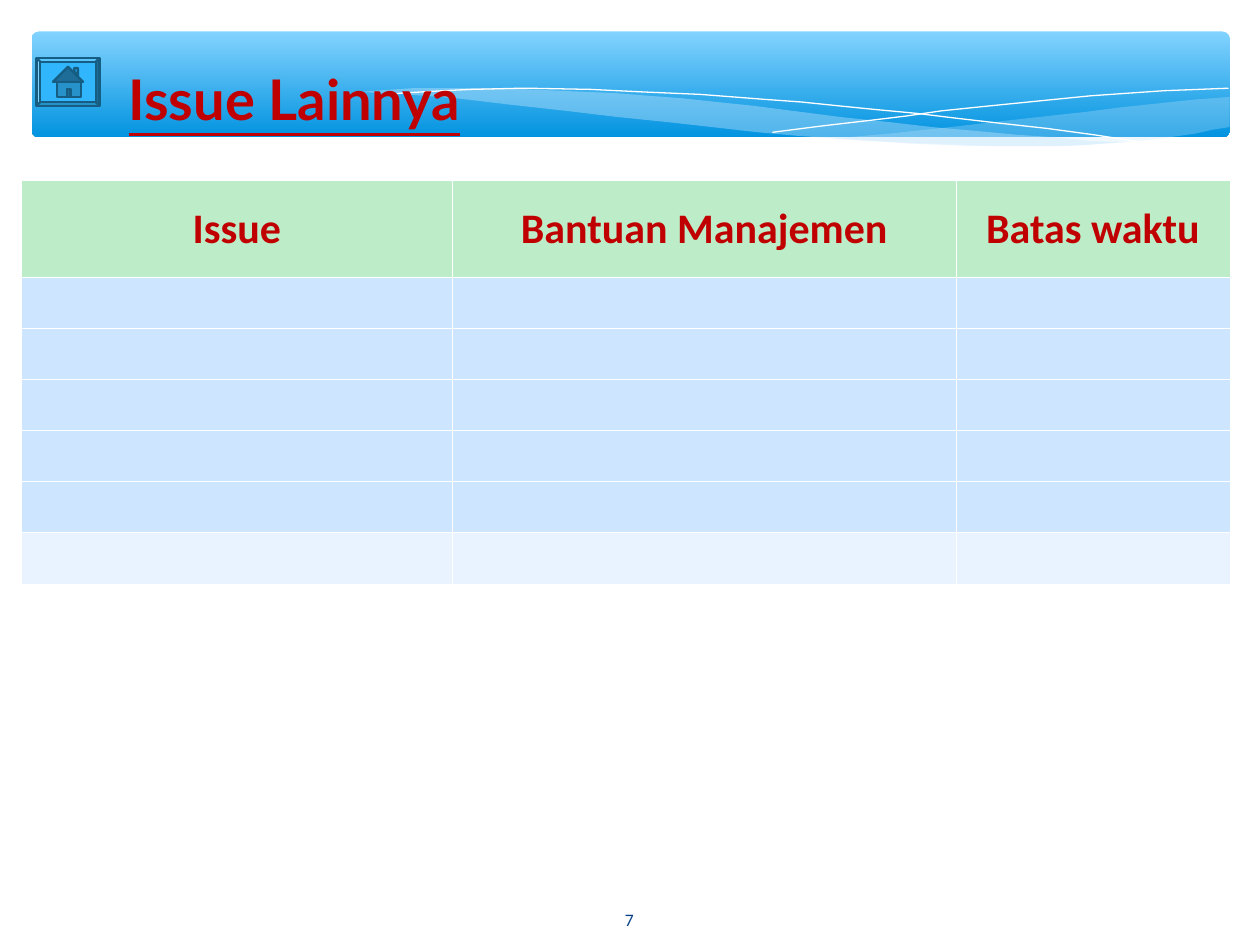
"""Build the "Issue Lainnya" slide: wave banner, home button and issue table."""
from lxml.etree import SubElement
from pptx import Presentation
from pptx.dml.color import RGBColor
from pptx.enum.shapes import MSO_SHAPE
from pptx.enum.text import MSO_ANCHOR, MSO_AUTO_SIZE, PP_ALIGN
from pptx.oxml import parse_xml
from pptx.oxml.ns import nsdecls, qn
from pptx.util import Inches, Pt

WHITE = RGBColor(0xFF, 0xFF, 0xFF)
RED = RGBColor(0xC0, 0x00, 0x00)
NAVY = RGBColor(0x07, 0x3E, 0x87)
SKY_TOP = RGBColor(0x83, 0xD3, 0xFE)
SKY_BOTTOM = RGBColor(0x02, 0x93, 0xE0)
WAVE = RGBColor(0xC6, 0xE7, 0xFC)
BUTTON = RGBColor(0x31, 0xB6, 0xFD)
BUTTON_EDGE = RGBColor(0x16, 0x5D, 0x83)
WALL = RGBColor(0x27, 0x92, 0xCA)
ROOF = RGBColor(0x1D, 0x6D, 0x98)
HEADER = RGBColor(0xBD, 0xEC, 0xC9)
BODY = RGBColor(0xCD, 0xE5, 0xFE)
LAST_ROW = RGBColor(0xE8, 0xF3, 0xFF)

prs = Presentation()
prs.slide_width, prs.slide_height = Inches(10), Inches(7.5)
slide = prs.slides.add_slide(prs.slide_layouts[5])
shapes = slide.shapes


def draw_outline(points, fill=None, opacity=100, edge=None, weight=0.75):
    """Draw a path given in hundredths of an inch, closed when filled."""
    pen = shapes.build_freeform(*points[0], scale=Inches(0.01))
    pen.add_line_segments(points[1:], close=fill is not None)
    outline = pen.convert_to_shape()
    outline.shadow.inherit = False
    if fill is None:
        outline.fill.background()
    else:
        outline.fill.solid()
        outline.fill.fore_color.rgb = fill
        if opacity < 100:
            color = outline.element.spPr.find(qn("a:solidFill"))[0]
            SubElement(color, qn("a:alpha"), val=str(opacity * 1000))
    if edge is None:
        outline.line.fill.background()
    else:
        outline.line.color.rgb = edge
        outline.line.width = Pt(weight)


def set_borders(cell, bottom_weight):
    """Give a table cell thin white borders and its own bottom weight."""
    properties = cell._tc.get_or_add_tcPr()
    for index, (side, weight) in enumerate(
        [("L", 0.23), ("R", 0.23), ("T", 0.23), ("B", bottom_weight)]
    ):
        properties.insert(index, parse_xml(
            f'<a:ln{side} {nsdecls("a")} w="{Pt(weight)}"><a:solidFill>'
            f'<a:srgbClr val="{WHITE}"/></a:solidFill></a:ln{side}>'
        ))


banner = shapes.add_shape(
    MSO_SHAPE.ROUNDED_RECTANGLE, Inches(0.25), Inches(0.25), Inches(9.51), Inches(0.84)
)
banner.adjustments[0] = 0.07
banner.shadow.inherit = False
banner.line.fill.background()
banner.fill.gradient()
banner.fill.gradient_angle = 270
for stop, color in zip(banner.fill.gradient_stops, (SKY_TOP, SKY_BOTTOM)):
    stop.color.rgb = color

right_wave = [
    (975, 77), (948, 79), (920, 82), (891, 85), (860, 89), (805, 95), (753, 101),
    (706, 106), (661, 110), (691, 112), (718, 113), (744, 114), (769, 115),
    (792, 116), (834, 116), (863, 115), (889, 113), (913, 111), (935, 108),
    (949, 106), (962, 103), (975, 101), (976, 100), (976, 77),
]
long_wave = [
    (893, 113), (866, 112), (837, 109), (807, 107), (775, 104), (741, 101),
    (706, 97), (668, 93), (629, 88), (598, 84), (569, 81), (541, 78), (514, 76),
    (489, 74), (442, 72), (399, 70), (328, 70), (299, 72), (286, 73), (323, 75),
    (362, 78), (404, 83), (449, 88), (491, 93), (530, 97), (566, 101), (601, 105),
    (634, 108), (665, 110), (695, 112), (722, 114), (748, 115), (773, 116),
    (848, 116), (876, 114),
]
falling_line = [
    (309, 75), (318, 74), (335, 73), (353, 72), (374, 71), (416, 70), (469, 71),
    (510, 73), (556, 75), (608, 79), (636, 81), (665, 84), (695, 87), (727, 90),
    (760, 94), (795, 98), (831, 102), (868, 107), (907, 113),
]
rising_line = [
    (613, 105), (652, 100), (695, 95), (720, 92), (747, 88), (776, 85), (806, 82),
    (836, 79), (866, 76), (895, 74), (924, 72), (950, 71), (975, 70),
]
draw_outline(right_wave, WAVE, 29)
draw_outline(long_wave, WAVE, 40)
draw_outline(falling_line, edge=WHITE)
draw_outline(rising_line, edge=WHITE)

title = shapes.title
shapes.element.append(title.element)
title.left, title.top, title.width, title.height = map(Inches, (0.92, 0.46, 3.92, 0.67))
title.text_frame.text = "Issue Lainnya"
title.text_frame.auto_size = MSO_AUTO_SIZE.NONE
title.text_frame.vertical_anchor = MSO_ANCHOR.TOP
heading = title.text_frame.paragraphs[0]
heading.alignment = PP_ALIGN.LEFT
heading.font.name, heading.font.size = "Lato", Pt(32)
heading.font.bold = heading.font.underline = True
heading.font.color.rgb = RED

headers = ["Issue", "Bantuan Manajemen", "Batas waktu"]
column_widths = [3.42, 4, 2.17]
row_heights = [0.77] + [0.405] * 6
issues = shapes.add_table(
    len(row_heights), len(headers), Inches(0.17), Inches(1.43),
    Inches(sum(column_widths)), Inches(sum(row_heights)),
).table
for column, width in zip(issues.columns, column_widths):
    column.width = Inches(width)
row_fills = [HEADER] + [BODY] * 5 + [LAST_ROW]
for row, height, color in zip(issues.rows, row_heights, row_fills):
    row.height = Inches(height)
    for cell in row.cells:
        cell.fill.solid()
        cell.fill.fore_color.rgb = color
        set_borders(cell, 0.75 if color == HEADER else 0.23)
for cell, label in zip(issues.rows[0].cells, headers):
    cell.text = label
    cell.vertical_anchor = MSO_ANCHOR.MIDDLE
    caption = cell.text_frame.paragraphs[0]
    caption.alignment = PP_ALIGN.CENTER
    caption.line_spacing = 1.02
    caption.font.name, caption.font.size = "Calibri", Pt(24)
    caption.font.bold = True
    caption.font.color.rgb = RED

page = shapes.add_textbox(Inches(4.36), Inches(7.1), Inches(1.27), Inches(0.4))
page.text_frame.word_wrap = True
page.text_frame.vertical_anchor = MSO_ANCHOR.MIDDLE
page.text_frame.text = "7"
number = page.text_frame.paragraphs[0]
number.alignment = PP_ALIGN.CENTER
number.font.name, number.font.size = "Calibri", Pt(10)
number.font.color.rgb = NAVY

home_button = shapes.add_shape(
    MSO_SHAPE.BEVEL, Inches(0.29), Inches(0.46), Inches(0.5), Inches(0.38)
)
home_button.adjustments[0] = 0.08
home_button.shadow.inherit = False
home_button.fill.solid()
home_button.fill.fore_color.rgb = BUTTON
home_button.line.color.rgb = BUTTON_EDGE
home_button.line.width = Pt(1.25)

chimney = [(59, 57), (59, 54), (62, 54), (62, 60)]
roof = [(54, 53), (66, 65), (42, 65)]
walls = [(53, 71), (56, 71), (56, 77), (64, 77), (64, 65), (45, 65), (45, 77), (53, 77)]
door = [(53, 71), (56, 71), (56, 77), (53, 77)]
for part, color in [(chimney, WALL), (roof, ROOF), (walls, WALL), (door, ROOF)]:
    draw_outline(part, color, edge=BUTTON_EDGE, weight=1.25)

prs.save("out.pptx")
